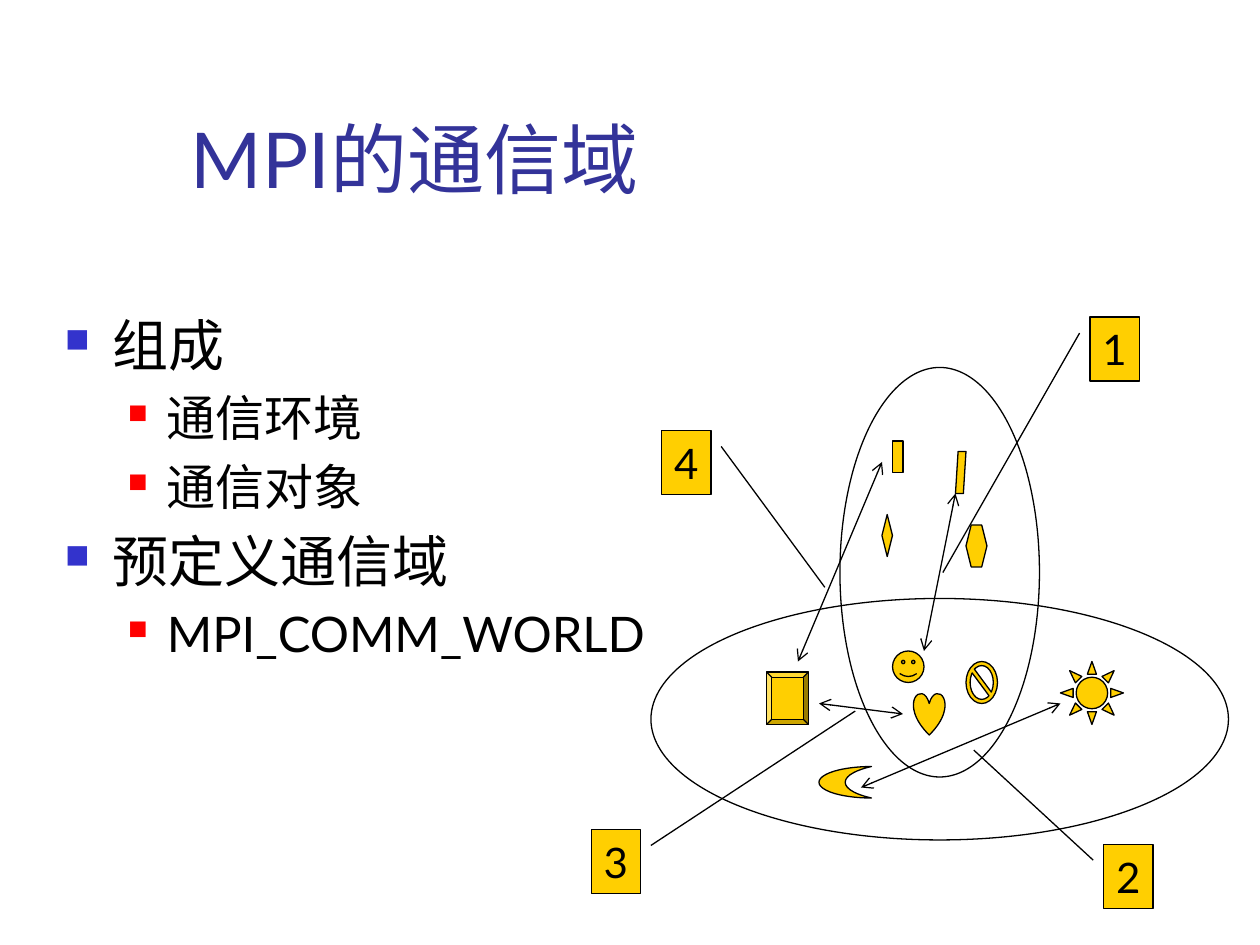
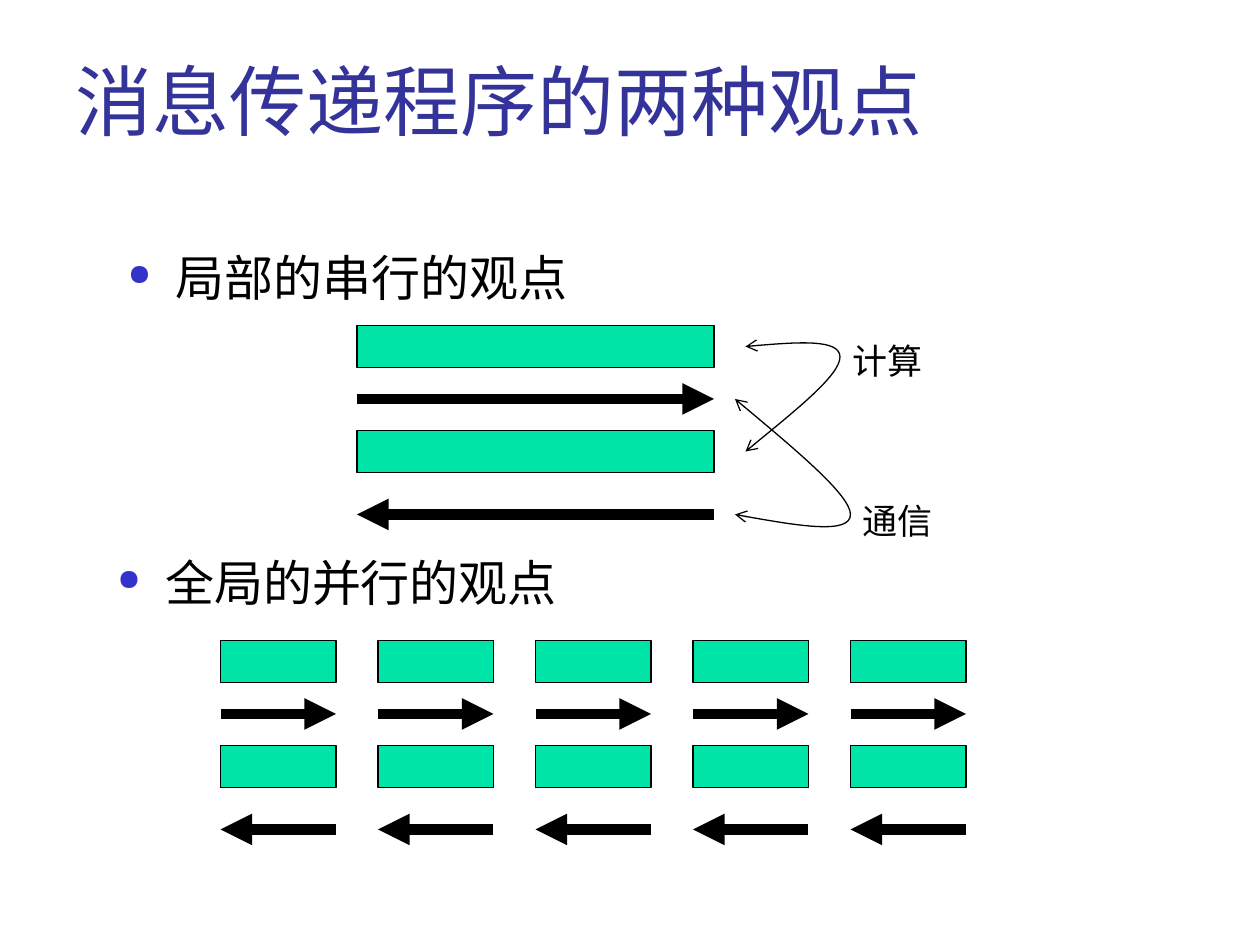
from lxml.etree import SubElement
from pptx import Presentation
from pptx.dml.color import RGBColor
from pptx.enum.shapes import MSO_CONNECTOR, MSO_SHAPE
from pptx.enum.text import MSO_ANCHOR, MSO_AUTO_SIZE, PP_ALIGN
from pptx.oxml.ns import qn
from pptx.util import Inches, Pt

COLS, ROWS = 120, 90
INK, TITLE, BLUE, RED = "000000", "333399", "3333CC", "FF0000"
GOLD, GREEN = "FFCF01", "00E4A8"
SANS, SERIF = "Lato", "Times New Roman"


def rgb(value):
    return RGBColor.from_string(value)


class Deck:
    """Draws styled elements on the current slide, measured on a 120 by 90 grid."""

    def __init__(self):
        self.prs = Presentation()
        self.prs.slide_width, self.prs.slide_height = Inches(10), Inches(7.5)

    def slide(self):
        self.s = self.prs.slides.add_slide(self.prs.slide_layouts[6])
        self.shapes = self.s.shapes

    def grid(self, x, y):
        return (round(x * self.prs.slide_width / COLS),
                round(y * self.prs.slide_height / ROWS))

    def box(self, x, y, w, h):
        return *self.grid(x, y), *self.grid(w, h)

    def font(self, p, size, color=INK, name=SANS):
        for r in p.runs:
            r.font.size, r.font.name = Pt(size), name
            r.font.color.rgb = rgb(color)

    def text(self, x, y, w, h, text, size, color=INK, name=SANS,
             anchor=MSO_ANCHOR.TOP, wrap=True):
        tf = self.shapes.add_textbox(*self.box(x, y, w, h)).text_frame
        tf.word_wrap, tf.vertical_anchor = wrap, anchor
        tf.text = text
        self.font(tf.paragraphs[0], size, color, name)
        return tf

    def title(self, x, y, w, h, text, anchor):
        self.text(x, y, w, h, text, 44, TITLE, anchor=anchor)

    def label(self, x, y, text):
        tf = self.text(x, y, 9.1, 5.2, text, 20, name=SERIF, wrap=False)
        tf.auto_size = MSO_AUTO_SIZE.SHAPE_TO_FIT_TEXT

    def bullet(self, p, char, color, percent, left, hang):
        pPr = p._p.get_or_add_pPr()
        pPr.set("marL", str(Inches(left)))
        pPr.set("indent", str(-Inches(hang)))
        clr = SubElement(pPr, qn("a:buClr"))
        SubElement(clr, qn("a:srgbClr"), val=color)
        SubElement(pPr, qn("a:buSzPct"), val=str(percent * 1000))
        SubElement(pPr, qn("a:buChar"), char=char)

    def outline(self, x, y, w, h, items):
        tf = self.text(x, y, w, h, "\n".join(t for _, t in items), 32)
        for p, (level, _) in zip(tf.paragraphs, items):
            size = (32, 28)[level]
            p.level, p.space_before = level, Pt(size * 0.2)
            self.font(p, size)
            self.bullet(p, "■", *((BLUE, 60, 0.38, 0.38), (RED, 55, 0.81, 0.31))[level])

    def heading(self, x, y, w, h, text):
        tf = self.text(x, y, w, h, text, 28)
        self.bullet(tf.paragraphs[0], "●", BLUE, 60, 0.38, 0.38)

    def stroke(self, shape, width=0.75, head=None, tail=None):
        shape.line.width, shape.line.color.rgb = Pt(width), rgb(INK)
        ln = shape.element.spPr.find(qn("a:ln"))
        for tag, kind in (("a:headEnd", head), ("a:tailEnd", tail)):
            if kind:
                SubElement(ln, qn(tag), type=kind)

    def shape(self, kind, x, y, w, h, fill=None, adjust=()):
        sp = self.shapes.add_shape(kind, *self.box(x, y, w, h))
        sp.shadow.inherit = False
        if fill:
            sp.fill.solid()
            sp.fill.fore_color.rgb = rgb(fill)
        else:
            sp.fill.background()
        self.stroke(sp)
        for i, value in enumerate(adjust):
            sp.adjustments[i] = value
        return sp

    def callout(self, x, y, text, adjust):
        sp = self.shape(MSO_SHAPE.LINE_CALLOUT_2, x, y, 4.7, 6.1, GOLD, adjust)
        tf = sp.text_frame
        tf.word_wrap, tf.auto_size = False, MSO_AUTO_SIZE.SHAPE_TO_FIT_TEXT
        tf.text = text
        tf.paragraphs[0].alignment = PP_ALIGN.CENTER
        self.font(tf.paragraphs[0], 24)

    def line(self, x1, y1, x2, y2, width=0.75, head=None, tail=None):
        c = self.shapes.add_connector(MSO_CONNECTOR.STRAIGHT,
                                      *self.grid(x1, y1), *self.grid(x2, y2))
        self.stroke(c, width, head, tail)
        SubElement(c.element.spPr, qn("a:effectLst"))

    def curve(self, *points):
        start, *rest = [self.grid(*pt) for pt in points]
        builder = self.shapes.build_freeform(*start)
        builder.add_line_segments(rest, close=False)
        sp = builder.convert_to_shape()
        sp.shadow.inherit = False
        sp.fill.background()
        self.stroke(sp, head="arrow", tail="arrow")
        path = sp.element.spPr.find(".//" + qn("a:path"))
        segments = path.findall(qn("a:lnTo"))
        for i in range(0, len(segments), 3):
            bezier = SubElement(path, qn("a:cubicBezTo"))
            for segment in segments[i:i + 3]:
                bezier.append(segment[0])
                path.remove(segment)

    def process(self, x, y, w):
        self.shapes = self.s.shapes.add_group_shape().shapes
        for dy in (0, 10):
            self.shape(MSO_SHAPE.RECTANGLE, x, y + dy, w, 4, GREEN)
        self.line(x, y + 7, x + w, y + 7, 6, tail="triangle")
        self.line(x, y + 18, x + w, y + 18, 6, head="triangle")
        self.shapes = self.s.shapes


def communicators(d):
    d.slide()
    d.title(17, 8, 50, 12, "MPI的通信域", MSO_ANCHOR.BOTTOM)
    d.outline(5, 29, 62, 20.5, [
        (0, "组成"), (1, "通信环境"), (1, "通信对象"),
        (0, "预定义通信域"), (1, "MPI_COMM_WORLD")])
    for domain in ((80, 35, 19, 39), (62, 57, 55, 23)):
        d.shape(MSO_SHAPE.OVAL, *domain)
    for kind, *place in (
            (MSO_SHAPE.RECTANGLE, 85, 42, 1, 3),
            (MSO_SHAPE.PARALLELOGRAM, 91, 43, 1, 4),
            (MSO_SHAPE.DIAMOND, 84, 49, 1, 4),
            (MSO_SHAPE.HEXAGON, 92, 50, 2, 4),
            (MSO_SHAPE.SMILEY_FACE, 85, 62, 3, 3),
            (MSO_SHAPE.HEART, 87, 66, 3, 4),
            (MSO_SHAPE.BEVEL, 73, 64, 4, 5),
            (MSO_SHAPE.SUN, 101, 63, 6, 6),
            (MSO_SHAPE.MOON, 78, 73, 5, 3)):
        d.shape(kind, *place, GOLD)
    d.shape(MSO_SHAPE.NO_SYMBOL, 92, 63, 3, 4, GOLD, (0.13,))
    for ends in ((91, 47, 88, 62), (101, 67, 82, 75),
                 (86, 68, 78, 67), (84, 44, 76, 63)):
        d.line(*ends, head="arrow", tail="arrow")
    for x, y, text, side, end_y, end_x in (
            (103.8, 30.2, "1", -0.21, 3.99, -2.98),
            (105.1, 80.4, "2", -0.21, -1.47, -2.63),
            (56.3, 79, "3", 1.21, -1.85, 5.35),
            (63, 41, "4", 1.21, 2.45, 3.31)):
        d.callout(x, y, text, (0.25, side, 0.25, side, end_y, end_x))


def viewpoints(d):
    d.slide()
    d.title(6, 4, 102, 11, "消息传递程序的两种观点", MSO_ANCHOR.MIDDLE)
    d.heading(11, 23, 100, 11, "局部的串行的观点")
    d.heading(10, 52, 74, 11, "全局的并行的观点")
    d.process(34, 31, 34)
    for i in range(5):
        d.process(21 + 15 * i, 61, 11)
    d.label(80, 31.7, "计算")
    d.label(81, 47, "通信")
    d.curve((70, 49), (75.5, 50), (81, 50.9), (81, 49),
            (81, 47.2), (75.5, 42.6), (70, 38))
    d.curve((71, 33), (75.5, 32.6), (80, 32.3), (80, 34),
            (80, 35.7), (75.5, 39.3), (71, 43))


deck = Deck()
communicators(deck)
viewpoints(deck)
deck.prs.save("out.pptx")
